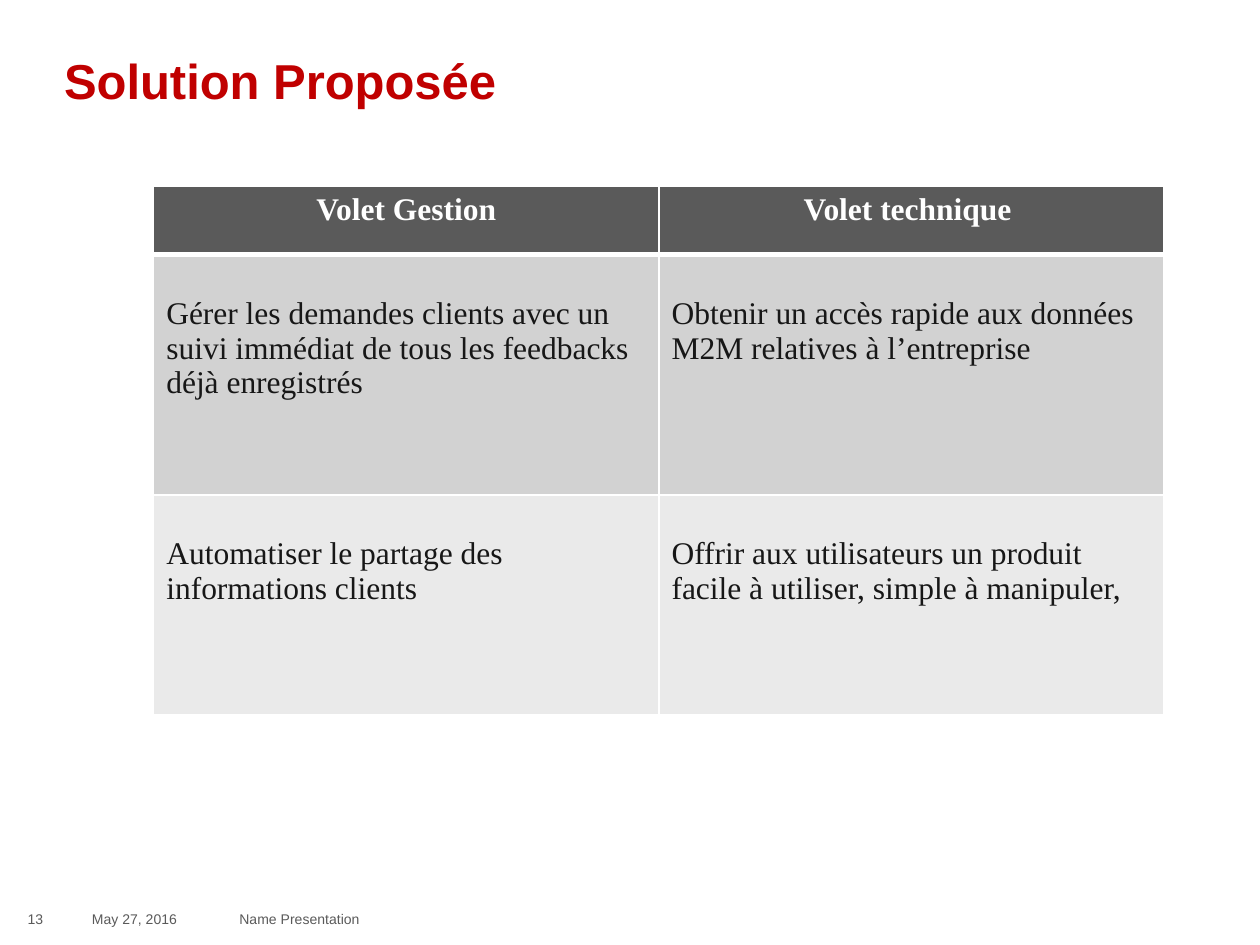
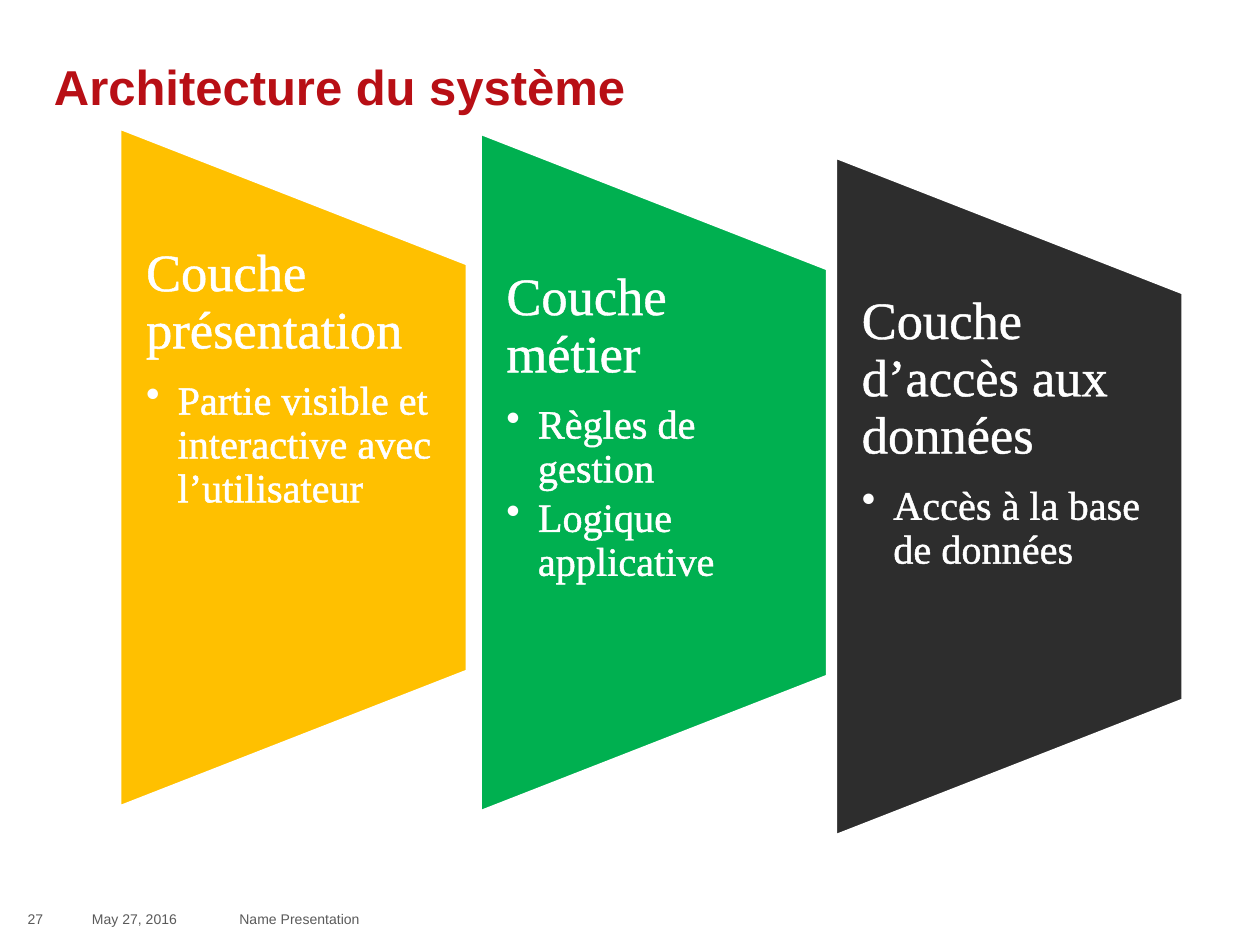
"""Build two slides: the proposed solution table and the system architecture."""
from lxml import etree
from pptx import Presentation
from pptx.dml.color import RGBColor
from pptx.enum.shapes import MSO_SHAPE
from pptx.enum.text import MSO_ANCHOR, PP_ALIGN
from pptx.oxml.ns import qn
from pptx.util import Inches, Pt

PANEL_SHAPE = MSO_SHAPE.FLOWCHART_MANUAL_OPERATION
TOP, MIDDLE = MSO_ANCHOR.TOP, MSO_ANCHOR.MIDDLE
LEFT, CENTER = PP_ALIGN.LEFT, PP_ALIGN.CENTER
SANS, SERIF = "Arial", "Times New Roman"

COLORS = {
    "white": "FFFFFF", "gray": "5A5A5A", "ink": "171717",
    "band": "D2D2D2", "light band": "EAEAEA",
    "red": "C00000", "crimson": "B80F15",
    "yellow": "FFC000", "green": "00B050", "charcoal": "2D2D2D",
}

SOLUTION = {"title": "Solution Proposée", "color": "red", "at": (0.41, 0.3), "number": "13"}
ARCHITECTURE = {"title": "Architecture du système", "color": "crimson",
                "at": (0.33, 0.35), "number": "27"}

FOOTERS = [("May 27, 2016", 0.65, 1.04, 0.08), ("Name Presentation", 1.82, 2.73, 0.08)]

TABLE_ROWS = [
    ("Volet Gestion", "Volet technique "),
    ("Gérer les demandes clients avec un suivi immédiat de tous les feedbacks déjà enregistrés",
     "Obtenir un accès rapide aux données M2M relatives à l’entreprise"),
    ("Automatiser le partage des informations clients",
     "Offrir aux utilisateurs un produit facile à utiliser, simple à manipuler,"),
]
ROW_STYLES = [(0.54, "gray"), (1.91, "band"), (1.74, "light band")]
TABLE_LEFT, TABLE_TOP, TABLE_WIDTH = 1.22, 1.48, 8.02

LAYERS = [
    ("Couche présentation", ["Partie visible et interactive avec l’utilisateur"],
     "yellow", 0.95, 2.33, 1.94),
    ("Couche métier", ["Règles de gestion", "Logique applicative"],
     "green", 3.81, 2.37, 2.13),
    ("Couche d’accès aux données", ["Accès à la base de données"],
     "charcoal", 6.63, 2.56, 2.32),
]
PANEL_LENGTH, PANEL_WIDTH, LAYER_TEXT_HEIGHT = 5.39, 2.76, 3.23
LINE_RATIO, HEADING_GAP, BULLET_GAP = 1.09, 0.38, 0.14


def rgb(name):
    return RGBColor.from_string(COLORS[name])


def line_element(parent, tag, index, points, color):
    line = etree.Element(qn(tag), w=str(Pt(points)))
    fill = etree.SubElement(line, qn("a:solidFill"))
    etree.SubElement(fill, qn("a:srgbClr"), val=COLORS[color])
    parent.insert(index, line)


def write(frame, text, font=SANS, size=8, color="gray", bold=False, align=LEFT,
          line_ratio=None, gap=None, bullet=False, outline=None):
    paragraph = frame.paragraphs[-1]
    if paragraph.runs:
        paragraph = frame.add_paragraph()
    paragraph.alignment = align
    if line_ratio:
        paragraph.line_spacing = Pt(size * line_ratio)
    if gap:
        paragraph.space_after = Pt(size * gap)
    if bullet:
        properties = paragraph._p.get_or_add_pPr()
        properties.set("marL", str(Inches(0.25)))
        properties.set("indent", str(Inches(-0.25)))
        etree.SubElement(properties, qn("a:buChar"), char="•")
    run = paragraph.add_run()
    run.text = text
    run.font.name, run.font.size, run.font.bold = font, Pt(size), bold
    run.font.color.rgb = rgb(color)
    if outline:
        line_element(run._r.get_or_add_rPr(), "a:ln", 0, outline, color)


def add_frame(slide, left, top, width, height, insets=(0.1, 0.05, 0.1, 0.05), anchor=TOP):
    box = slide.shapes.add_textbox(*map(Inches, (left, top, width, height)))
    frame = box.text_frame
    frame.word_wrap = True
    frame.vertical_anchor = anchor
    (frame.margin_left, frame.margin_top,
     frame.margin_right, frame.margin_bottom) = map(Inches, insets)
    return frame


def add_slide(presentation, content):
    slide = presentation.slides.add_slide(presentation.slide_layouts[6])
    for text, left, width, inset in FOOTERS + [(content["number"], 0.12, 0.39, 0.1)]:
        write(add_frame(slide, left, 7.15, width, 0.28, (inset, 0.05, 0.1, 0.05), MIDDLE), text)
    title = add_frame(slide, *content["at"], 6.88, 0.47, (0.1, 0.1, 0.1, 0))
    write(title, content["title"], size=28, color=content["color"], bold=True)
    return slide


def add_solution_table(slide):
    row_count, column_count = len(TABLE_ROWS), len(TABLE_ROWS[0])
    height = sum(row_height for row_height, _ in ROW_STYLES)
    table = slide.shapes.add_table(
        row_count, column_count,
        *map(Inches, (TABLE_LEFT, TABLE_TOP, TABLE_WIDTH, height))).table
    table.horz_banding = False
    for column in table.columns:
        column.width = Inches(TABLE_WIDTH / column_count)
    for row_index, (texts, (row_height, fill)) in enumerate(zip(TABLE_ROWS, ROW_STYLES)):
        header = row_index == 0
        table.rows[row_index].height = Inches(row_height)
        for column_index, text in enumerate(texts):
            cell = table.cell(row_index, column_index)
            cell.fill.solid()
            cell.fill.fore_color.rgb = rgb(fill)
            cell.margin_top = Inches(0.05 if header else 0.33)
            write(cell.text_frame, text, font=SERIF, size=18, bold=header,
                  color="white" if header else "ink", align=CENTER if header else LEFT)
            borders = {"a:lnL": 1, "a:lnR": 1,
                       "a:lnT": 3 if row_index == 1 else 1, "a:lnB": 3 if header else 1}
            for index, (tag, points) in enumerate(borders.items()):
                line_element(cell._tc.get_or_add_tcPr(), tag, index, points, "white")


def add_layer(slide, heading, bullets, color, left, panel_top, text_top):
    panel_left = left + (PANEL_WIDTH - PANEL_LENGTH) / 2
    panel = slide.shapes.add_shape(
        PANEL_SHAPE, *map(Inches, (panel_left, panel_top, PANEL_LENGTH, PANEL_WIDTH)))
    panel.rotation = 270
    panel.shadow.inherit = False
    panel.fill.solid()
    panel.fill.fore_color.rgb = rgb(color)
    panel.line.color.rgb = rgb("white")
    panel.line.width = Pt(2)
    frame = add_frame(slide, left, text_top, PANEL_WIDTH, LAYER_TEXT_HEIGHT, (0.21, 0, 0.21, 0))
    style = {"font": SERIF, "color": "white", "line_ratio": LINE_RATIO, "outline": 1.45}
    write(frame, heading, size=30, gap=HEADING_GAP, **style)
    for text in bullets:
        write(frame, text, size=23, gap=BULLET_GAP, bullet=True, **style)


def main():
    presentation = Presentation()
    presentation.slide_width, presentation.slide_height = Inches(10), Inches(7.5)
    add_solution_table(add_slide(presentation, SOLUTION))
    architecture = add_slide(presentation, ARCHITECTURE)
    for layer in LAYERS:
        add_layer(architecture, *layer)
    presentation.save("out.pptx")


if __name__ == "__main__":
    main()
